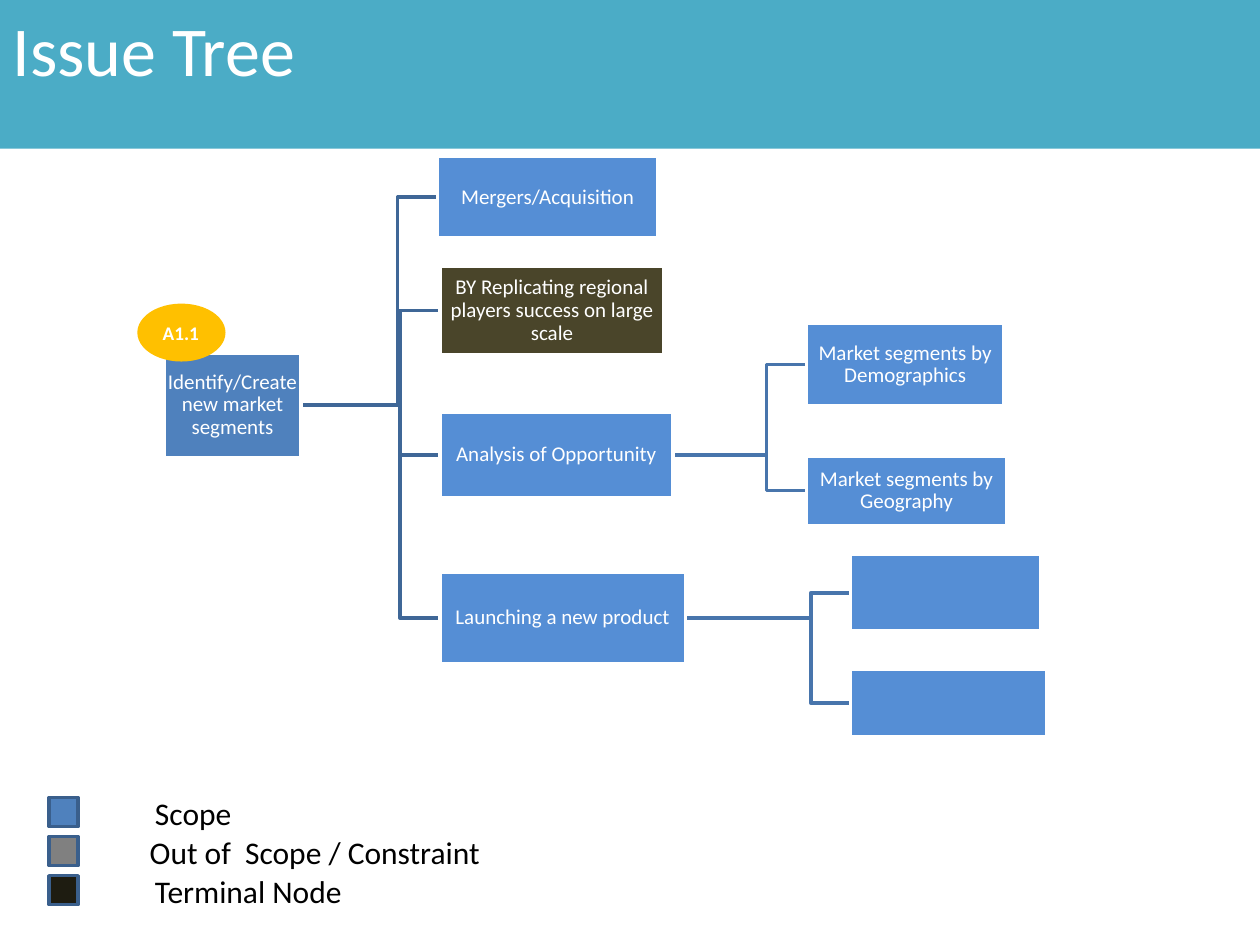
from dataclasses import dataclass

from pptx import Presentation
from pptx.dml.color import RGBColor
from pptx.enum.shapes import MSO_SHAPE
from pptx.enum.text import MSO_ANCHOR, MSO_AUTO_SIZE, PP_ALIGN
from pptx.util import Pt

RECTANGLE, OVAL = MSO_SHAPE.RECTANGLE, MSO_SHAPE.OVAL
TOP, MIDDLE = MSO_ANCHOR.TOP, MSO_ANCHOR.MIDDLE
LEFT, CENTER = PP_ALIGN.LEFT, PP_ALIGN.CENTER
NO_AUTOFIT = MSO_AUTO_SIZE.NONE

WHITE = RGBColor(0xFF, 0xFF, 0xFF)
BLACK = RGBColor(0x00, 0x00, 0x00)
TEAL = RGBColor(0x4B, 0xAC, 0xC6)
BLUE = RGBColor(0x4F, 0x81, 0xBD)
LIGHT_BLUE = RGBColor(0x55, 0x8E, 0xD5)
OLIVE = RGBColor(0x4A, 0x45, 0x2A)
AMBER = RGBColor(0xFF, 0xC0, 0x00)
GREY = RGBColor(0x80, 0x80, 0x80)
NEAR_BLACK = RGBColor(0x1E, 0x1C, 0x11)
SWATCH_EDGE = RGBColor(0x3A, 0x5F, 0x8C)
FIRST_BRANCH = RGBColor(0x3F, 0x67, 0x97)
SECOND_BRANCH = RGBColor(0x48, 0x75, 0xAC)

FONT = "Calibri"
BEND_GAP = 22.7  # from the bend of a branch to its child


@dataclass(frozen=True)
class Node:
    text: str
    left: float
    top: float
    width: float
    height: float
    fill: RGBColor = LIGHT_BLUE

    @property
    def right(self) -> float:
        return self.left + self.width

    @property
    def middle(self) -> float:
        return self.top + self.height / 2


@dataclass(frozen=True)
class LegendEntry:
    text: str
    fill: RGBColor
    label_left: float


ROOT = Node("Identify/Create new market segments", 93.6, 201.6, 78.5, 59.8, BLUE)
MERGERS = Node("Mergers/Acquisition", 249.9, 89.3, 126, 46.8)
REPLICATION = Node("BY Replicating regional players success on large scale",
                   251.3, 151.9, 128.2, 51.1, OLIVE)
ANALYSIS = Node("Analysis of Opportunity", 251.3, 235.4, 133.2, 49)
LAUNCH = Node("Launching a new product", 251.3, 326.9, 140.4, 52.6)
DEMOGRAPHICS = Node("Market segments by Demographics", 460.8, 185, 113, 46.8)
GEOGRAPHY = Node("Market segments by Geography", 460.8, 260.6, 114.5, 39.6)
UPPER_PRODUCT = Node("", 486, 316.8, 108.7, 43.9)
LOWER_PRODUCT = Node("", 486, 382.3, 112.3, 38.9)

TREE = [
    (ROOT, FIRST_BRANCH, [MERGERS, REPLICATION, ANALYSIS, LAUNCH]),
    (ANALYSIS, SECOND_BRANCH, [DEMOGRAPHICS, GEOGRAPHY]),
    (LAUNCH, SECOND_BRANCH, [UPPER_PRODUCT, LOWER_PRODUCT]),
]

LEGEND = [
    LegendEntry("Scope", BLUE, 81.5),
    LegendEntry("Out of  Scope / Constraint", GREY, 78.5),
    LegendEntry("Terminal Node", NEAR_BLACK, 81.5),
]


def write(frame, text: str, size: float, color: RGBColor,
          align=LEFT, bold: bool = False):
    """Add one run to the first paragraph of a text frame."""
    paragraph = frame.paragraphs[0]
    paragraph.alignment = align
    run = paragraph.add_run()
    run.text = text
    run.font.name = FONT
    run.font.size = Pt(size)
    run.font.bold = bold
    run.font.color.rgb = color
    return paragraph


def add_block(slide, kind, left: float, top: float, width: float, height: float,
              fill: RGBColor, edge: RGBColor | None = None):
    block = slide.shapes.add_shape(kind, Pt(left), Pt(top), Pt(width), Pt(height))
    block.shadow.inherit = False
    block.fill.solid()
    block.fill.fore_color.rgb = fill
    if edge is None:
        block.line.fill.background()
    else:
        block.line.color.rgb = edge
        block.line.width = Pt(2)
    return block


def add_branch(slide, parent: Node, child: Node, color: RGBColor) -> None:
    bend = child.left - BEND_GAP
    builder = slide.shapes.build_freeform(Pt(parent.right), Pt(parent.middle))
    builder.add_line_segments(
        [(Pt(bend), Pt(parent.middle)), (Pt(bend), Pt(child.middle)),
         (Pt(child.left), Pt(child.middle))], close=False)
    branch = builder.convert_to_shape()
    branch.shadow.inherit = False
    branch.fill.background()
    branch.line.color.rgb = color
    branch.line.width = Pt(2)


def add_node(slide, node: Node) -> None:
    box = add_block(slide, RECTANGLE, node.left, node.top, node.width,
                    node.height, node.fill, WHITE)
    if not node.text:
        return
    frame = box.text_frame
    frame.word_wrap = True
    frame.vertical_anchor = MIDDLE
    frame.margin_left = frame.margin_right = Pt(0.6)
    frame.margin_top = frame.margin_bottom = Pt(0.6)
    write(frame, node.text, 12, WHITE, CENTER).line_spacing = 0.9


def add_legend_entry(slide, entry: LegendEntry, row: int) -> None:
    add_block(slide, RECTANGLE, 28.1, 455.8 + 22.3 * row, 16.6, 16.6,
              entry.fill, SWATCH_EDGE)
    label = slide.shapes.add_textbox(
        Pt(entry.label_left), Pt(450 + 22.5 * row), Pt(205), Pt(29))
    label.text_frame.word_wrap = True
    write(label.text_frame, entry.text, 18, BLACK)


def main() -> None:
    deck = Presentation()
    deck.slide_width, deck.slide_height = Pt(720), Pt(540)
    slide = deck.slides.add_slide(deck.slide_layouts[5])

    # Title band
    title = slide.shapes.title
    title.left, title.top, title.width, title.height = Pt(0), Pt(0), Pt(720), Pt(85)
    title.fill.solid()
    title.fill.fore_color.rgb = TEAL
    title.text_frame.auto_size = NO_AUTOFIT
    title.text_frame.vertical_anchor = TOP
    write(title.text_frame, "Issue Tree", 40, WHITE)

    # Branches, then the nodes over them
    for parent, color, children in TREE:
        for child in children:
            add_branch(slide, parent, child, color)
    add_node(slide, ROOT)
    for _, _, children in TREE:
        for child in children:
            add_node(slide, child)

    # Badge on the root node
    badge = add_block(slide, OVAL, 78.5, 173.5, 50.4, 33.1, AMBER)
    badge.text_frame.vertical_anchor = MIDDLE
    badge.text_frame.word_wrap = True
    write(badge.text_frame, "A1.1", 11, WHITE, bold=True)

    # Legend
    for row, entry in enumerate(LEGEND):
        add_legend_entry(slide, entry, row)

    deck.save("out.pptx")


if __name__ == "__main__":
    main()
